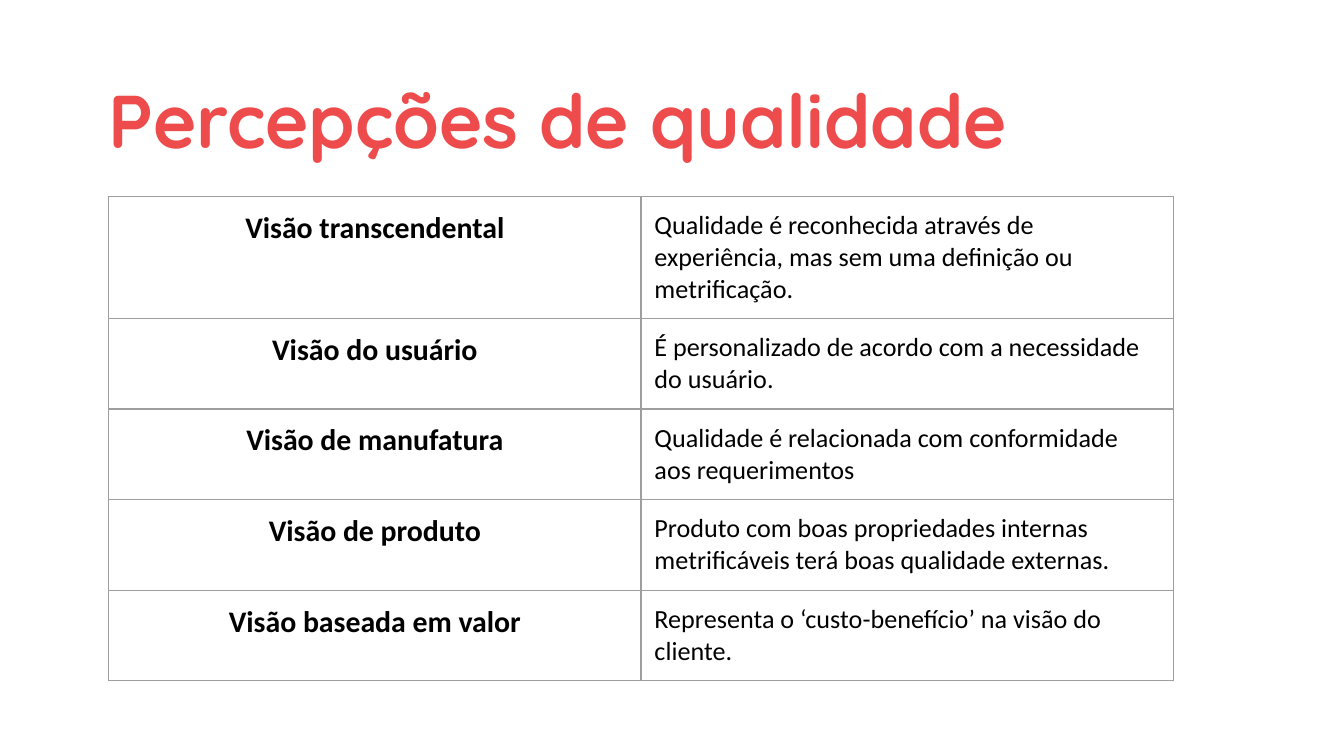
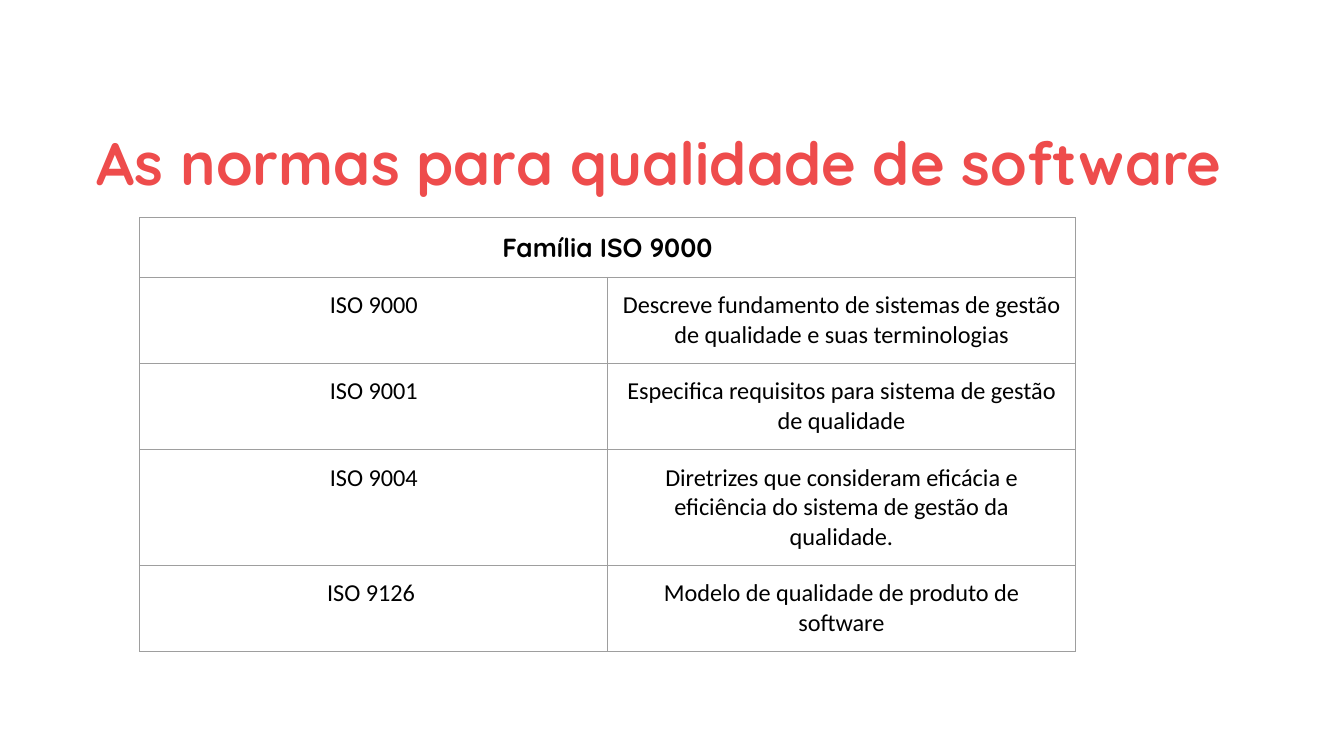
"""Build two slides about software quality, each with a title and a bordered table."""
from lxml.etree import SubElement
from pptx import Presentation
from pptx.dml.color import RGBColor
from pptx.enum.text import MSO_ANCHOR, MSO_AUTO_SIZE, PP_ALIGN
from pptx.oxml.ns import qn
from pptx.util import Inches, Pt

SLIDE_WIDTH = Inches(10)
SLIDE_HEIGHT = SLIDE_WIDTH * 9 // 16
CORAL = RGBColor(0xEE, 0x4C, 0x4C)
BLACK = RGBColor(0, 0, 0)
GREY = RGBColor(0x9E, 0x9E, 0x9E)
HEADING_FONT, BODY_FONT = "Quicksand", "Calibri"
BORDER_WIDTH = Pt(0.75)
MARGINS = dict.fromkeys(
    ("margin_left", "margin_right", "margin_top", "margin_bottom"), Inches(0.1))
TITLE_FRAME = {**MARGINS, "word_wrap": True, "auto_size": MSO_AUTO_SIZE.NONE,
               "vertical_anchor": MSO_ANCHOR.MIDDLE}

VIEW = {"name": BODY_FONT, "size": Pt(16), "bold": True}
MEANING = {"name": BODY_FONT, "size": Pt(14), "bold": False}
FAMILY = {"name": HEADING_FONT, "size": Pt(14), "bold": True}
STANDARD = {"name": BODY_FONT, "size": Pt(13), "bold": False}

SLIDES = [
    {
        "title": "Percepções de qualidade",
        "title_size": 40,
        "title_box": (0.71, 0.37, 8.1, 0.92),
        "table_corner": (0.81, 1.46),
        "column_width": 3.96,
        "row_heights": (0.85, 0.51, 0.42, 0.42, 0.57),
        "column_fonts": (VIEW, MEANING),
        "column_alignments": (PP_ALIGN.CENTER, PP_ALIGN.LEFT),
        "rows": [
            ("Visão transcendental",
             "Qualidade é reconhecida através de experiência, "
             "mas sem uma definição ou metrificação."),
            ("Visão do usuário",
             "É personalizado de acordo com a necessidade do usuário."),
            ("Visão de manufatura",
             "Qualidade é relacionada com conformidade aos requerimentos"),
            ("Visão de produto",
             "Produto com boas propriedades internas metrificáveis "
             "terá boas qualidade externas."),
            ("Visão baseada em valor",
             "Representa o ‘custo-benefício’ na visão do cliente."),
        ],
    },
    {
        "title": "As normas para qualidade de software",
        "title_size": 32,
        "title_box": (0.62, 0.7, 9.06, 0.92),
        "table_corner": (1.04, 1.62),
        "column_width": 3.48,
        "row_heights": (0.43, 0.63, 0.63, 0.63, 0.42),
        "column_fonts": (STANDARD, STANDARD),
        "column_alignments": (PP_ALIGN.CENTER, PP_ALIGN.CENTER),
        "rows": [
            ("Família ISO 9000",),
            ("ISO 9000",
             "Descreve fundamento de sistemas de gestão de qualidade "
             "e suas terminologias"),
            ("ISO 9001",
             "Especifica requisitos para sistema de gestão de qualidade"),
            ("ISO 9004",
             "Diretrizes que consideram eficácia e eficiência do sistema "
             "de gestão da qualidade."),
            ("ISO 9126 ", "Modelo de qualidade de produto de software"),
        ],
    },
]


def apply(target, values):
    for name, value in values.items():
        setattr(target, name, value)


def write(text_frame, text, font, color, alignment):
    paragraph = text_frame.paragraphs[0]
    paragraph.alignment = alignment
    run = paragraph.add_run()
    run.text = text
    apply(run.font, font)
    run.font.color.rgb = color
    return paragraph


def add_title(slide, content):
    title = slide.shapes.title
    box = map(Inches, content["title_box"])
    apply(title, dict(zip(("left", "top", "width", "height"), box)))
    apply(title.text_frame, TITLE_FRAME)
    font = {"name": HEADING_FONT, "size": Pt(content["title_size"]), "bold": True}
    paragraph = write(title.text_frame, content["title"], font, CORAL, PP_ALIGN.LEFT)
    paragraph.line_spacing = 1.15


def format_cell(cell):
    apply(cell, {**MARGINS, "vertical_anchor": MSO_ANCHOR.TOP})
    properties = cell._tc.get_or_add_tcPr()
    for side in ("lnL", "lnR", "lnT", "lnB"):
        line = SubElement(properties, qn(f"a:{side}"), w=str(BORDER_WIDTH))
        fill = SubElement(line, qn("a:solidFill"))
        SubElement(fill, qn("a:srgbClr"), val=str(GREY))
    cell.fill.background()


def add_table(slide, content):
    rows, heights = content["rows"], content["row_heights"]
    fonts, alignments = content["column_fonts"], content["column_alignments"]
    column_count = len(fonts)
    left, top = content["table_corner"]
    width = content["column_width"] * column_count
    frame = slide.shapes.add_table(
        len(rows), column_count, *map(Inches, (left, top, width, sum(heights))))
    table = frame.table
    apply(table, {"first_row": False, "horz_banding": False})
    for row, height, texts in zip(table.rows, heights, rows):
        row.height = Inches(height)
        for cell in row.cells:
            format_cell(cell)
        spans_all = len(texts) == 1
        if spans_all:
            row.cells[0].merge(row.cells[column_count - 1])
        for cell, text, font, alignment in zip(row.cells, texts, fonts, alignments):
            write(cell.text_frame, text, FAMILY if spans_all else font, BLACK, alignment)


def main():
    presentation = Presentation()
    apply(presentation, {"slide_width": SLIDE_WIDTH, "slide_height": SLIDE_HEIGHT})
    title_only = presentation.slide_layouts.get_by_name("Title Only")
    for content in SLIDES:
        slide = presentation.slides.add_slide(title_only)
        add_title(slide, content)
        add_table(slide, content)
    presentation.save("out.pptx")


if __name__ == "__main__":
    main()
